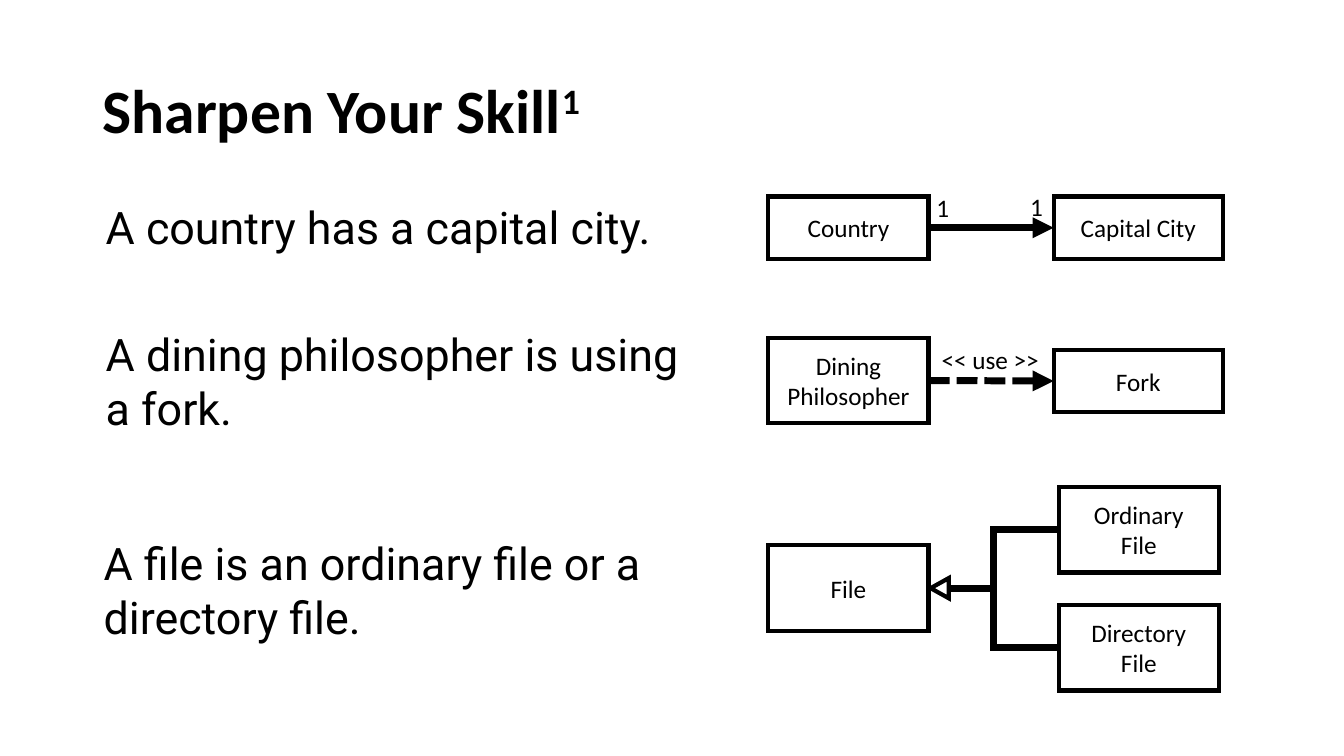
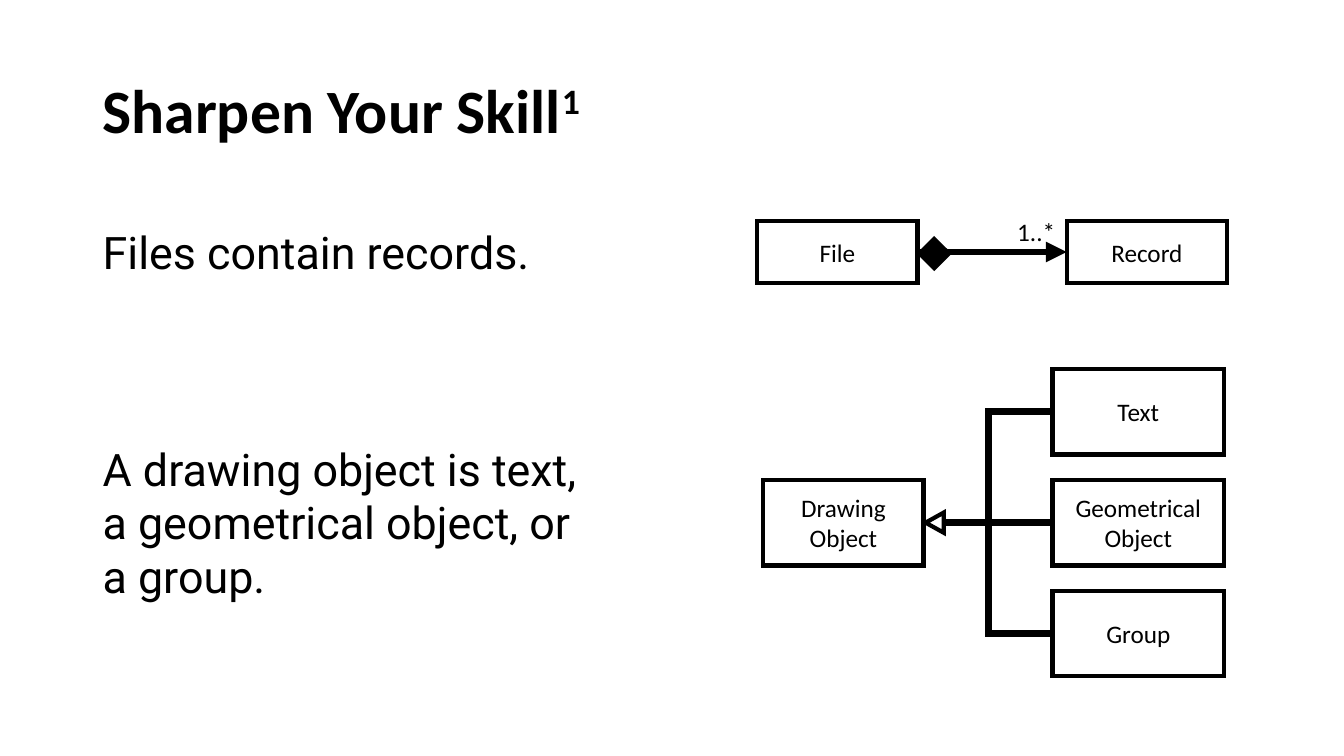
from dataclasses import dataclass

import pptx
import pptx.dml.color
import pptx.enum.dml
import pptx.enum.shapes
import pptx.enum.text
import pptx.oxml
import pptx.oxml.ns
import pptx.util

Inches = pptx.util.Inches
Pt = pptx.util.Pt
Shape = pptx.enum.shapes.MSO_SHAPE
Link = pptx.enum.shapes.MSO_CONNECTOR
Align = pptx.enum.text.PP_ALIGN
Anchor = pptx.enum.text.MSO_ANCHOR
Fit = pptx.enum.text.MSO_AUTO_SIZE

LEFT_SITE, RIGHT_SITE = 1, 3


@dataclass(frozen=True)
class Theme:
    ink = pptx.dml.color.RGBColor(0x00, 0x00, 0x00)
    paper = pptx.dml.color.RGBColor(0xFF, 0xFF, 0xFF)
    head_font = "Calibri"
    body_font = "Roboto"
    title_size = Pt(44)
    body_size = Pt(32)
    label_size = Pt(18)
    edge = Pt(3)
    wire = Pt(5)


theme = Theme()


def add_xml(parent, tag, **attrs):
    node = pptx.oxml.parse_xml(f"<a:{tag} {pptx.oxml.ns.nsdecls('a')}/>")
    for name, value in attrs.items():
        node.set(name, value)
    parent.append(node)


def style_font(para, face, size, bold=False):
    font = para.font
    font.name, font.size, font.bold = face, size, bold
    font.color.rgb = theme.ink


def style_line(line, width):
    """Draw a solid line with square corners."""
    line.color.rgb = theme.ink
    line.width = width
    add_xml(line._get_or_add_ln(), "miter", lim="800000")


def add_form(slide, kind, left, top, width, height, fill):
    form = slide.shapes.add_shape(
        kind, Inches(left), Inches(top), Inches(width), Inches(height))
    form.shadow.inherit = False
    form.fill.solid()
    form.fill.fore_color.rgb = fill
    style_line(form.line, theme.edge)
    return form


def add_box(slide, text, left, top, width=1.59, height=0.85):
    box = add_form(slide, Shape.RECTANGLE, left, top, width, height, theme.paper)
    frame = box.text_frame
    frame.text = text
    frame.word_wrap = True
    frame.vertical_anchor = Anchor.MIDDLE
    for para in frame.paragraphs:
        para.alignment = Align.CENTER
        style_font(para, theme.head_font, theme.label_size)
    return box


def add_text(slide, text, left, top, width, height, face, size, wrap=True):
    frame = slide.shapes.add_textbox(
        Inches(left), Inches(top), Inches(width), Inches(height)).text_frame
    frame.text = text
    frame.word_wrap = wrap
    frame.auto_size = Fit.SHAPE_TO_FIT_TEXT
    for para in frame.paragraphs:
        style_font(para, face, size)


def add_claim(slide, text, left, top, width, height):
    add_text(slide, text, left, top, width, height,
             theme.body_font, theme.body_size)


def add_label(slide, text, left, top, width):
    add_text(slide, text, left, top, width, 0.4,
             theme.head_font, theme.label_size, wrap=False)


def add_title(slide, text, note):
    """Add the slide title, followed by a raised note mark."""
    frame = slide.shapes.add_textbox(
        Inches(0.92), Inches(0.4), Inches(11.5), Inches(1.45)).text_frame
    frame.word_wrap = True
    frame.vertical_anchor = Anchor.MIDDLE
    para = frame.paragraphs[0]
    para.line_spacing = 0.9
    style_font(para, theme.head_font, theme.title_size, bold=True)
    para.add_run().text = text
    mark = para.add_run()
    mark.text = note
    mark._r.get_or_add_rPr().set("baseline", "30000")


def add_arrow(slide, start, start_site, end, end_site, kind=Link.STRAIGHT, dash=None):
    arrow = slide.shapes.add_connector(kind, 0, 0, 0, 0)
    arrow.begin_connect(start, start_site)
    arrow.end_connect(end, end_site)
    if dash:
        arrow.line.dash_style = dash
    style_line(arrow.line, theme.wire)
    add_xml(arrow.line._get_or_add_ln(), "tailEnd", type="triangle")
    add_xml(arrow._element.spPr, "effectLst")


def join_boxes(slide, start, end, dash=None):
    add_arrow(slide, start, RIGHT_SITE, end, LEFT_SITE, dash=dash)


def join_kinds(slide, parent, kids):
    """Lead each kid to its parent, ending in one hollow triangle."""
    for kid in kids:
        kind = Link.STRAIGHT if kid.top == parent.top else Link.ELBOW
        add_arrow(slide, kid, LEFT_SITE, parent, RIGHT_SITE, kind)
    width, height = 0.2, 0.18
    left = (parent.left + parent.width) / Inches(1) + 0.01
    middle = (parent.top + parent.height / 2) / Inches(1)
    tip = add_form(slide, Shape.ISOSCELES_TRIANGLE, left, middle - height / 2,
                   width, height, theme.paper)
    tip.rotation = 270


def add_slide(deck):
    slide = deck.slides.add_slide(deck.slide_layouts[6])
    add_title(slide, "Sharpen Your Skill", "1")
    return slide


def build_first(deck):
    slide = add_slide(deck)
    near = 7.62

    country = add_box(slide, "Country", near, 1.95, height=0.62)
    city = add_box(slide, "Capital City", 10.45, 1.95, 1.68, 0.62)
    join_boxes(slide, country, city)
    add_label(slide, "1", 9.19, 1.86, 0.33)
    add_label(slide, "1", 10.12, 1.85, 0.33)

    diner = add_box(slide, "Dining Philosopher", near, 3.35)
    fork = add_box(slide, "Fork", 10.45, 3.47, 1.68, 0.62)
    join_boxes(slide, diner, fork, pptx.enum.dml.MSO_LINE.SQUARE_DOT)
    add_label(slide, "<< use >>", 9.24, 3.37, 1.18)

    file = add_box(slide, "File", near, 5.41)
    kids = [add_box(slide, f"{name}\nFile", 10.5, top)
            for name, top in (("Ordinary", 4.83), ("Directory", 6))]
    join_kinds(slide, file, kids)

    add_claim(slide, "A country has a capital city.", 0.95, 1.93, 6.67, 0.64)
    add_claim(slide, "A dining philosopher is using\na fork.", 0.95, 3.19, 5.92, 1.18)
    add_claim(slide, "A file is an ordinary file or a directory file.",
              0.93, 5.27, 6.67, 1.18)


def build_second(deck):
    slide = add_slide(deck)

    file = add_box(slide, "File", 7.51, 2.19, height=0.62)
    record = add_box(slide, "Record", 10.58, 2.19, height=0.62)
    join_boxes(slide, file, record)
    add_form(slide, Shape.DIAMOND, 9.12, 2.37, 0.29, 0.29, theme.ink)
    add_label(slide, "1..*", 9.99, 2.1, 0.58)

    drawing = add_box(slide, "Drawing\nObject", 7.57, 4.76)
    names = ("Text", "Geometrical Object", "Group")
    kids = [add_box(slide, name, 10.44, 3.66 + 1.1 * row, 1.7)
            for row, name in enumerate(names)]
    join_kinds(slide, drawing, kids)

    add_claim(slide, "Files contain records.", 0.92, 2.18, 6.67, 0.64)
    add_claim(slide, "A drawing object is text,\na geometrical object, or\na group.",
              0.92, 4.33, 5.33, 1.72)


def main():
    deck = pptx.Presentation()
    deck.slide_width, deck.slide_height = Inches(13.33), Inches(7.5)
    build_first(deck)
    build_second(deck)
    deck.save("out.pptx")


if __name__ == "__main__":
    main()
